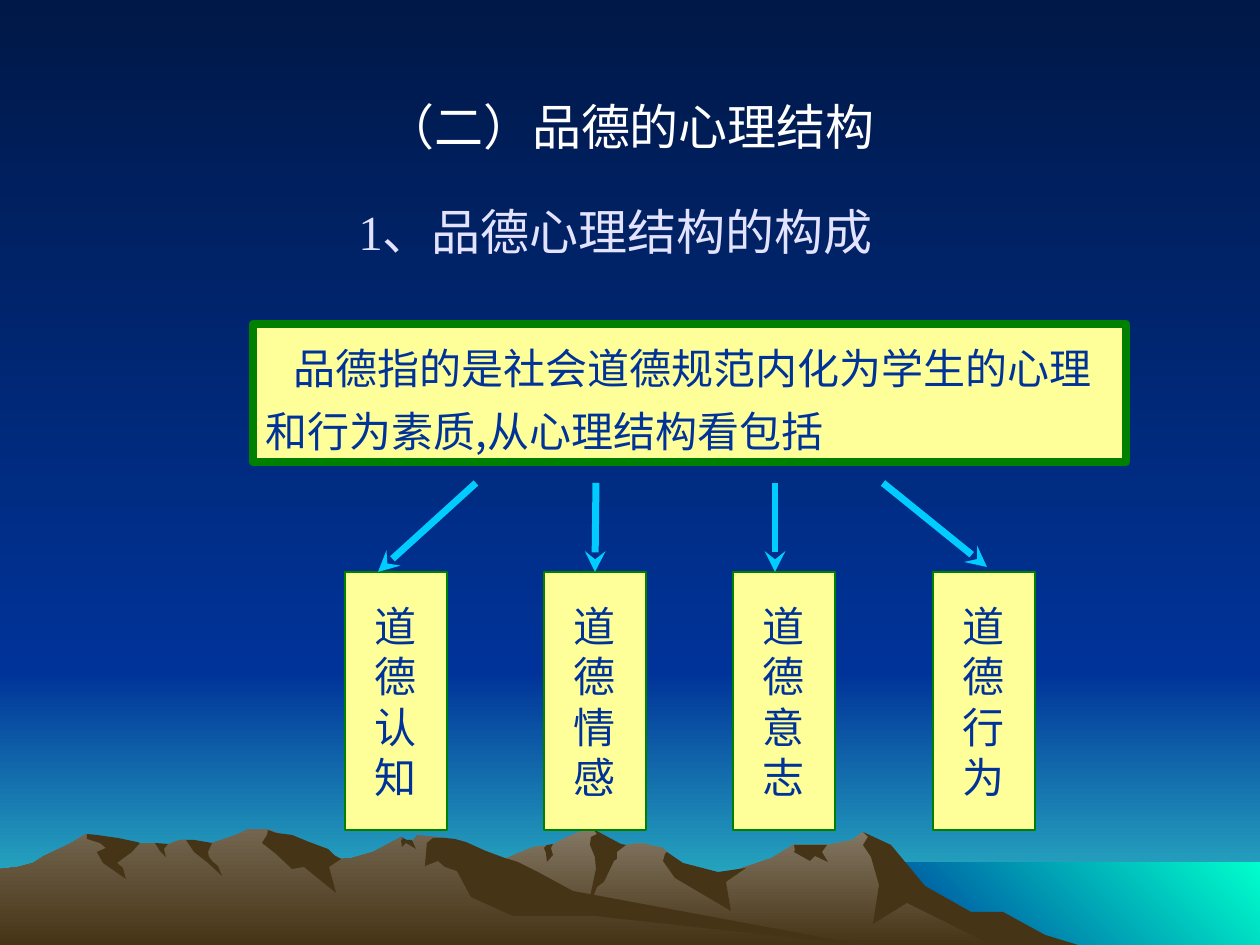
from lxml.etree import SubElement
from pptx import Presentation
from pptx.dml.color import RGBColor
from pptx.enum.shapes import MSO_CONNECTOR as CONN, MSO_SHAPE as SHAPE
from pptx.enum.text import MSO_ANCHOR as ANCHOR, PP_ALIGN as ALIGN
from pptx.oxml.ns import qn
from pptx.util import Emu, Pt

SCALE = 914400 / 126
CJK = "Noto Sans CJK SC"
COLORS = {
    "night": "001847", "blue": "003399", "horizon": "33CCCC", "sea": "00FFCC",
    "rock_east": "847864", "rock_west": "73654F", "shadow": "463416",
    "box": "FFFF99", "border": "008000", "arrow": "00CCFF",
    "white": "FFFFFF", "subtitle": "E3E3FF",
}
EAST_RIDGE = [
    (1011, 932), (980, 916), (963, 911), (911, 879), (885, 845), (863, 832),
    (852, 840), (827, 845), (793, 845), (772, 858), (713, 878), (675, 869),
    (667, 852), (663, 848), (641, 843), (626, 845), (612, 848), (597, 833),
    (593, 829), (586, 829), (567, 837), (552, 845), (534, 847), (519, 853),
    (496, 863), (447, 879), (412, 893), (349, 931), (325, 946), (1034, 946)]
EAST_SHADOWS = [
    [(1003, 912), (971, 912), (925, 886), (891, 845), (863, 832), (868, 837),
     (863, 845), (871, 857), (879, 885), (873, 924), (907, 903), (998, 948),
     (1081, 946), (1045, 935)],
    [(593, 829), (597, 834), (591, 837), (590, 845), (595, 857), (596, 869),
     (586, 916), (597, 887), (604, 882), (614, 861), (617, 859), (617, 852),
     (626, 845), (621, 844)],
    [(667, 852), (665, 854), (663, 861), (675, 878), (731, 911), (726, 882),
     (746, 868), (718, 872), (683, 863)],
    [(819, 845), (794, 845), (795, 850), (794, 852), (810, 861), (815, 856),
     (828, 862), (822, 852), (827, 845)],
    [(546, 853), (544, 848), (547, 845), (553, 844), (551, 848), (553, 855),
     (547, 862)],
]
WEST_RIDGE = [
    (869, 946), (840, 942), (544, 897), (446, 838), (417, 835), (412, 842),
    (407, 842), (401, 837), (373, 852), (352, 858), (341, 859), (328, 852),
    (297, 858), (281, 835), (276, 832), (267, 829), (248, 829), (238, 834),
    (227, 838), (212, 843), (202, 845), (186, 840), (180, 840), (166, 845),
    (161, 845), (155, 843), (140, 843), (118, 845), (86, 834), (71, 843),
    (63, 847), (44, 856), (33, 863), (18, 867), (0, 869), (0, 946)]
WEST_SHADOWS = [
    [(267, 835), (262, 843), (276, 854), (292, 869), (304, 867), (336, 893),
     (329, 867), (341, 859), (335, 856), (328, 849), (309, 842), (292, 835),
     (276, 833), (268, 830)],
    [(466, 842), (455, 839), (446, 838), (433, 838), (427, 843), (425, 866),
     (438, 861), (445, 867), (457, 871), (471, 897), (513, 916), (595, 916),
     (869, 946), (573, 891), (538, 872), (518, 862), (505, 858), (486, 851)],
    [(401, 840), (403, 839), (401, 837), (407, 840), (412, 840), (416, 849),
     (406, 843), (402, 847)],
    [(194, 840), (212, 843), (208, 852), (209, 857), (213, 862), (218, 866),
     (222, 876), (208, 863), (194, 852), (186, 840)],
    [(168, 844), (164, 849), (166, 857), (160, 851), (155, 843)],
    [(137, 842), (140, 843), (132, 852), (117, 863), (123, 868), (126, 879),
     (103, 863), (97, 852), (106, 848), (100, 843), (87, 839), (87, 834),
     (97, 835), (118, 838)],
]
COMPONENTS = [(345, "道德认知"), (544, "道德情感"), (733, "道德意志"), (933, "道德行为")]
ARROWS = [(476, 378, 572), (596, 596, 572), (775, 775, 572), (883, 987, 567)]


def px(n):
    return Emu(round(n * SCALE))


def rgb(name):
    return RGBColor.from_string(COLORS[name])


def paint(fill, colors, angle=270):
    if len(colors) == 1:
        fill.solid()
        fill.fore_color.rgb = rgb(colors[0])
        return
    fill.gradient()
    fill.gradient_angle = angle
    for stop, color in zip(fill.gradient_stops, colors):
        stop.color.rgb = rgb(color)


def add_rect(s, box, colors, angle=270, border=None):
    sp = s.shapes.add_shape(SHAPE.RECTANGLE, *map(px, box))
    sp.shadow.inherit = False
    paint(sp.fill, colors, angle)
    if border:
        sp.line.color.rgb = rgb("border")
        sp.line.width = Pt(border)
    else:
        sp.line.fill.background()
    return sp


def add_outline(s, points, *colors):
    builder = s.shapes.build_freeform(*points[0], scale=SCALE)
    builder.add_line_segments(points[1:])
    sp = builder.convert_to_shape()
    sp.shadow.inherit = False
    paint(sp.fill, colors)
    sp.line.fill.background()


def write(tf, text, size, font, color, align=ALIGN.LEFT, anchor=ANCHOR.TOP, wrap=True):
    tf.text = text
    tf.word_wrap = wrap
    tf.vertical_anchor = anchor
    for p in tf.paragraphs:
        p.alignment = align
        for r in p.runs:
            r.font.size = Pt(size)
            r.font.name = font
            r.font.color.rgb = rgb(color)
            SubElement(r.font._element, qn("a:ea")).set("typeface", CJK)


def add_arrow(s, x1, y1, x2, y2):
    c = s.shapes.add_connector(CONN.STRAIGHT, *map(px, (x1, y1, x2, y2)))
    c.line.color.rgb = rgb("arrow")
    c.line.width = Pt(4)
    SubElement(c.line._get_or_add_ln(), qn("a:tailEnd")).set("type", "stealth")
    SubElement(c._element.spPr, qn("a:effectLst"))
    return c


def add_landscape(s):
    paint(s.background.fill, ["night", "blue"])
    add_rect(s, (0, 672, 1260, 273), ["blue", "horizon"])
    add_rect(s, (0, 0, 1260, 672), ["night", "blue"])
    add_rect(s, (861, 862, 399, 83), ["blue", "sea"], 45)
    for ridge, rock, shadows in ((EAST_RIDGE, "rock_east", EAST_SHADOWS),
                                 (WEST_RIDGE, "rock_west", WEST_SHADOWS)):
        add_outline(s, ridge, rock, "shadow")
        for points in shadows:
            add_outline(s, points, "shadow")


def add_headings(s):
    title = s.shapes.title
    title.left, title.top, title.width, title.height = map(px, (63, 63, 1134, 126))
    write(title.text_frame, "（二）品德的心理结构", 28, "Arial", "white",
          ALIGN.CENTER, ANCHOR.MIDDLE)
    s.shapes._spTree.append(title._element)
    subtitle = s.shapes.add_textbox(*map(px, (346, 195, 551, 72)))
    write(subtitle.text_frame, "1、品德心理结构的构成", 28, "Times New Roman",
          "subtitle", wrap=False)


def add_definition(s):
    sp = add_rect(s, (253, 324, 873, 138), ["box"], border=4.5)
    write(sp.text_frame, "品德指的是社会道德规范内化为学生的心理和行为素质,从心理结构看包括",
          24, CJK, "blue")
    p = sp.text_frame.paragraphs[0]
    p.line_spacing = 1.25
    p._p.get_or_add_pPr().set("indent", str(px(28)))


def add_components(s):
    boxes = []
    for left, label in COMPONENTS:
        sp = add_rect(s, (left, 572, 102, 258), ["box"], border=1)
        write(sp.text_frame, "\n".join(label), 24, CJK, "blue",
              ALIGN.CENTER, ANCHOR.MIDDLE, False)
        boxes.append(sp)
    arrows = [add_arrow(s, x1, 483, x2, y2) for x1, x2, y2 in ARROWS]
    arrows[1].end_connect(boxes[1], 0)


def main():
    prs = Presentation()
    prs.slide_width, prs.slide_height = px(1260), px(945)
    s = prs.slides.add_slide(prs.slide_layouts[5])
    add_landscape(s)
    add_headings(s)
    add_definition(s)
    add_components(s)
    prs.save("out.pptx")


if __name__ == "__main__":
    main()
